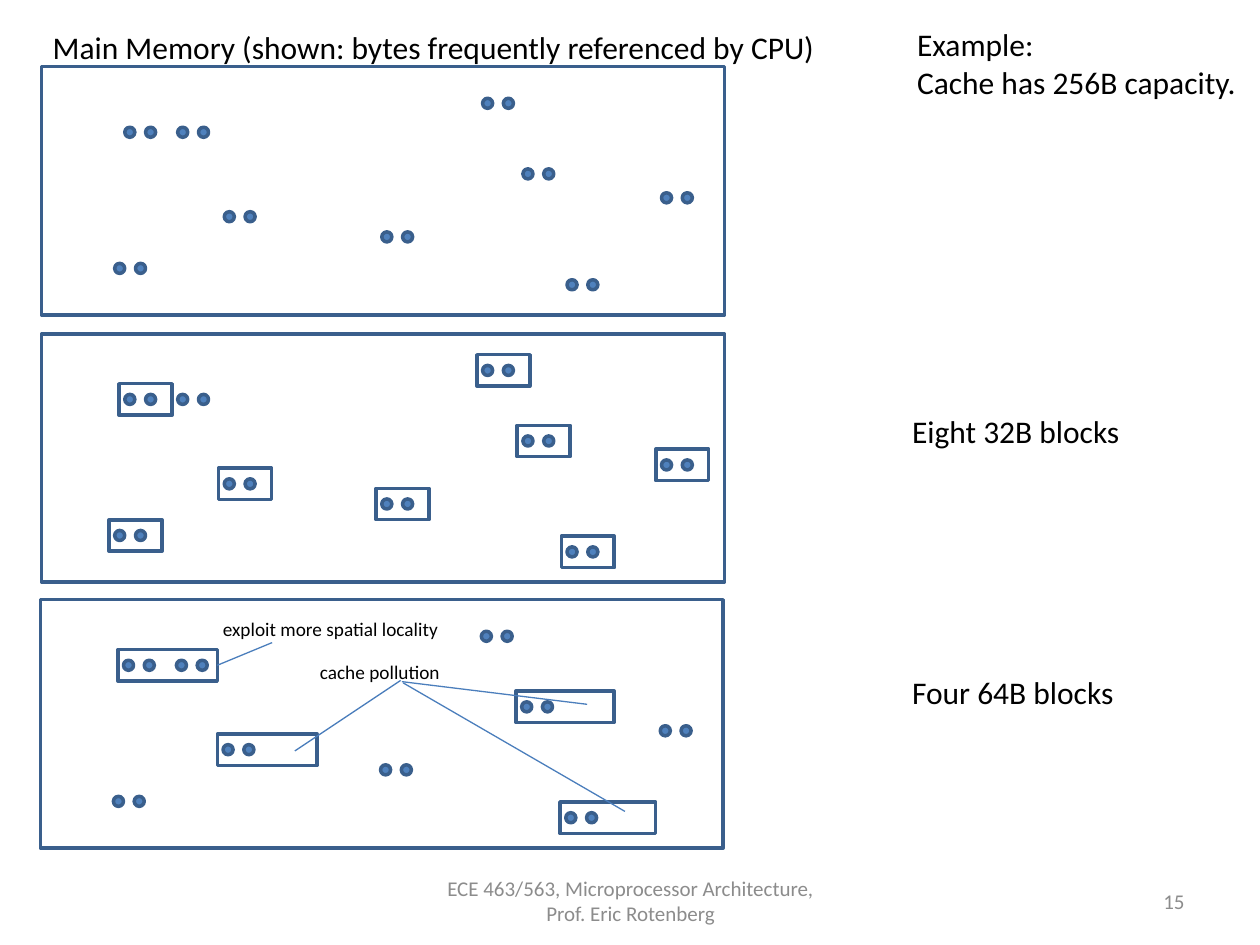
from lxml import etree
from pptx import Presentation
from pptx.dml.color import RGBColor
from pptx.enum.shapes import MSO_CONNECTOR, MSO_SHAPE
from pptx.enum.text import MSO_ANCHOR, PP_ALIGN
from pptx.oxml.ns import qn
from pptx.util import Inches, Pt

OVAL, RECTANGLE = MSO_SHAPE.OVAL, MSO_SHAPE.RECTANGLE
STRAIGHT = MSO_CONNECTOR.STRAIGHT
LEFT, CENTER, RIGHT = PP_ALIGN.LEFT, PP_ALIGN.CENTER, PP_ALIGN.RIGHT
TOP, MIDDLE = MSO_ANCHOR.TOP, MSO_ANCHOR.MIDDLE
RIGHT_SIDE = 3

BLACK = RGBColor(0x00, 0x00, 0x00)
GRAY = RGBColor(0x8C, 0x8C, 0x8C)
BYTE_FILL = RGBColor(0x4F, 0x81, 0xBD)
OUTLINE = RGBColor(0x3A, 0x5F, 0x8C)
POINTER = RGBColor(0x4B, 0x7E, 0xBC)

FONT = "Calibri"
MEMORY_WIDTH, MEMORY_HEIGHT = 5.42, 1.97
BYTE_SIZE, BYTE_STEP = 0.08, 0.165
BLOCK_HEIGHT, BLOCK_PAD_X, BLOCK_PAD_Y = 0.25, 0.045, 0.085

BYTE_PAIRS = {
    "lower left": (0.58, 1.56),
    "center": (2.70, 1.31),
    "bottom right": (4.17, 1.69),
    "top": (3.50, 0.25),
    "far right": (4.92, 1.00),
    "right": (3.82, 0.81),
    "left": (1.45, 1.15),
    "first neighbor": (0.66, 0.48),
    "second neighbor": (1.08, 0.48),
}
SMALL_BLOCKS = {name: 0.42 for name in BYTE_PAIRS if name != "second neighbor"}
LARGE_BLOCKS = {"bottom right": 0.76, "right": 0.78, "left": 0.79, "first neighbor": 0.79}

MEMORIES = [
    (0.33, 0.53, {}),
    (0.33, 2.65, SMALL_BLOCKS),
    (0.32, 4.76, LARGE_BLOCKS),
]

LABELS = [
    (["ECE 463/563, Microprocessor Architecture, Prof. Eric Rotenberg"],
     (3.42, 6.95, 3.17, 0.4), 12, GRAY, CENTER, MIDDLE, True),
    (["15"], (7.17, 6.95, 2.33, 0.4), 12, GRAY, RIGHT, MIDDLE, True),
    (["Main Memory (shown: bytes frequently referenced by CPU)"],
     (0.32, 0.17, 6.26, 0.4), 18, BLACK, LEFT, TOP, False),
    (["Example:", "Cache has 256B capacity."],
     (7.18, 0.15, 2.76, 0.71), 18, BLACK, LEFT, TOP, False),
    (["Eight 32B blocks"], (7.14, 3.22, 1.87, 0.4), 18, BLACK, LEFT, TOP, False),
    (["Four 64B blocks"], (7.14, 5.29, 1.82, 0.4), 18, BLACK, LEFT, TOP, False),
    (["exploit more spatial locality"],
     (1.67, 4.85, 1.92, 0.29), 11, BLACK, LEFT, TOP, False),
    (["cache pollution"], (2.44, 5.19, 1.92, 0.29), 11, BLACK, LEFT, TOP, True),
]

LOCALITY_POINTER = (1.73, 5.29, 2.16, 5.10)
POLLUTION_POINTERS = [
    (2.34, 5.96, 3.18, 5.40),
    (3.19, 5.41, 4.66, 5.59),
    (4.96, 6.44, 3.20, 5.42),
]


def add_outlined(group, kind, left, top, width, height, fill=None):
    shape = group.shapes.add_shape(
        kind, Inches(left), Inches(top), Inches(width), Inches(height))
    shape.shadow.inherit = False
    if fill is None:
        shape.fill.background()
    else:
        shape.fill.solid()
        shape.fill.fore_color.rgb = fill
    shape.line.color.rgb = OUTLINE
    shape.line.width = Pt(2)
    return shape


def add_memory(slide, left, top, block_widths):
    group = slide.shapes.add_group_shape()
    blocks = {}
    for name, (pair_x, pair_y) in BYTE_PAIRS.items():
        x, y = left + pair_x, top + pair_y
        for index in range(2):
            add_outlined(group, OVAL, x + index * BYTE_STEP, y,
                         BYTE_SIZE, BYTE_SIZE, BYTE_FILL)
        if name in block_widths:
            blocks[name] = add_outlined(
                group, RECTANGLE, x - BLOCK_PAD_X, y - BLOCK_PAD_Y,
                block_widths[name], BLOCK_HEIGHT)
    add_outlined(group, RECTANGLE, left, top, MEMORY_WIDTH, MEMORY_HEIGHT)
    return blocks


def add_label(slide, lines, box, size, color, alignment, anchor, wrap):
    frame = slide.shapes.add_textbox(*map(Inches, box)).text_frame
    frame.word_wrap = wrap
    frame.vertical_anchor = anchor
    frame.text = "\n".join(lines)
    font_format = {"name": FONT, "size": Pt(size)}
    for paragraph in frame.paragraphs:
        paragraph.alignment = alignment
        for run in paragraph.runs:
            for attribute, value in font_format.items():
                setattr(run.font, attribute, value)
            run.font.color.rgb = color


def add_pointer(slide, ends):
    connector = slide.shapes.add_connector(STRAIGHT, *map(Inches, ends))
    connector.line.color.rgb = POINTER
    connector.line.width = Pt(0.75)
    etree.SubElement(connector._element.spPr, qn("a:effectLst"))
    return connector


def main():
    presentation = Presentation()
    presentation.slide_width = Inches(10)
    presentation.slide_height = Inches(7.5)
    slide = presentation.slides.add_slide(presentation.slide_layouts[6])

    for left, top, block_widths in MEMORIES:
        blocks = add_memory(slide, left, top, block_widths)
    for label in LABELS:
        add_label(slide, *label)
    locality_pointer = add_pointer(slide, LOCALITY_POINTER)
    locality_pointer.begin_connect(blocks["first neighbor"], RIGHT_SIDE)
    for ends in POLLUTION_POINTERS:
        add_pointer(slide, ends)

    presentation.save("out.pptx")


if __name__ == "__main__":
    main()
